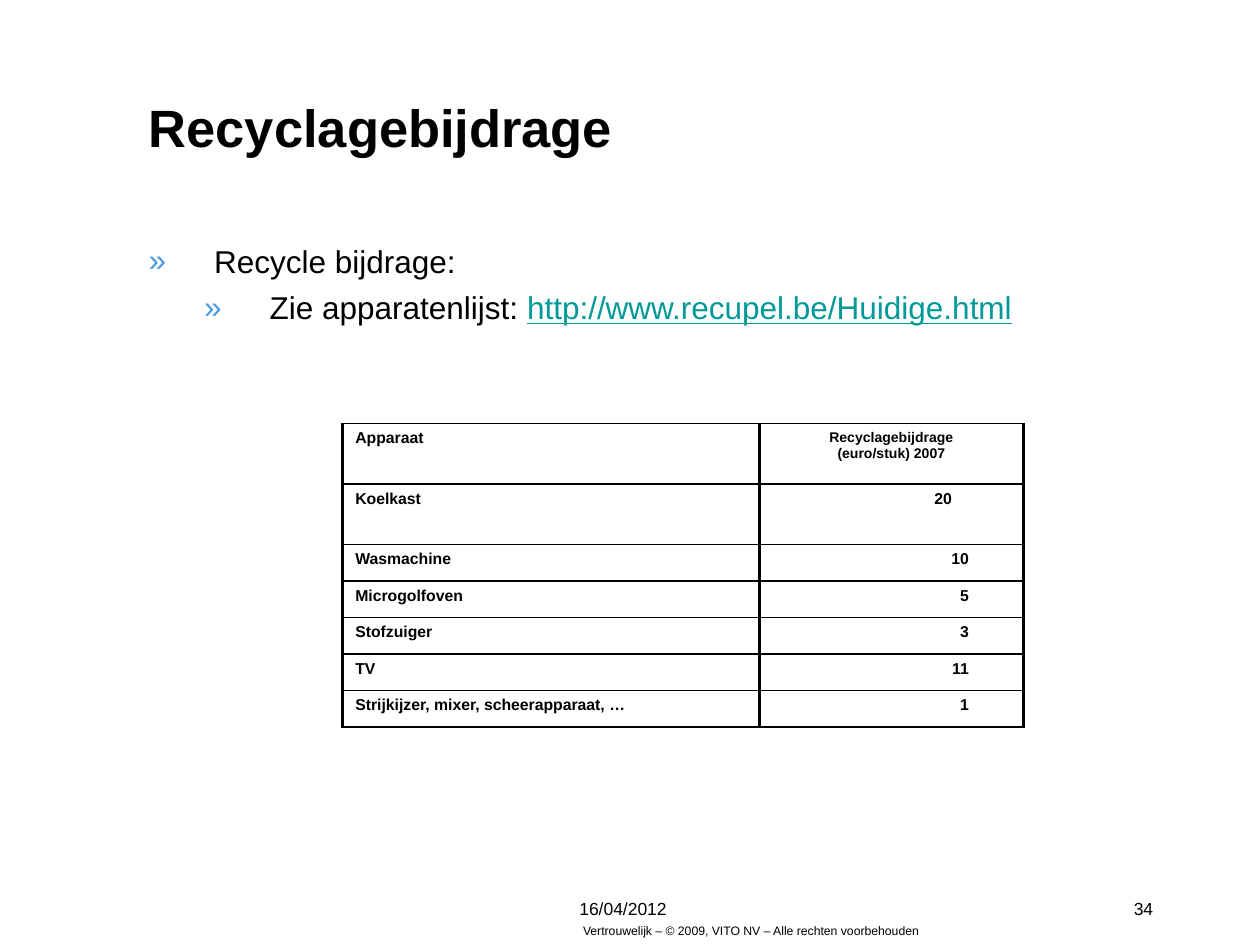
"""Builds the slide on recycling contributions per appliance."""
from lxml import etree
from pptx import Presentation
from pptx.dml.color import RGBColor
from pptx.enum.text import MSO_ANCHOR, MSO_AUTO_SIZE, PP_ALIGN
from pptx.oxml.ns import qn
from pptx.util import Inches, Pt

LEFT, CENTER, RIGHT = PP_ALIGN.LEFT, PP_ALIGN.CENTER, PP_ALIGN.RIGHT
TOP, MIDDLE = MSO_ANCHOR.TOP, MSO_ANCHOR.MIDDLE
NO_AUTOFIT = MSO_AUTO_SIZE.NONE
BLACK, BULLET_BLUE, LINK_TEAL = "000000", "4799E1", "009999"

TITLE = "Recyclagebijdrage"
BULLETS = [
    (0, [("Recycle bijdrage:", BLACK)]),
    (1, [("Zie apparatenlijst: ", BLACK),
         ("http://www.recupel.be/Huidige.html", LINK_TEAL)]),
]
HEADER = ("Apparaat", "Recyclagebijdrage\n(euro/stuk) 2007")
CONTRIBUTIONS = [
    ("Koelkast", "\t20\t"),
    ("Wasmachine", "\t10"),
    ("Microgolfoven", "\t5"),
    ("Stofzuiger", "\t3"),
    ("TV", "\t11"),
    ("Strijkijzer, mixer, scheerapparaat, …", "\t1"),
]
FOOTERS = [
    ("Vertrouwelijk – © 2009, VITO NV – Alle rechten voorbehouden",
     (4.5, 7.28, 2.89, 0.22), 7, RIGHT),
    ("16/04/2012", (4.5, 7.08, 1, 0.25), 10, LEFT),
    ("34", (8.33, 7.08, 0.92, 0.25), 10, RIGHT),
]
COLUMN_WIDTHS = (3.31, 2.09)
TALL_ROW, SHORT_ROW, TALL_ROWS = 0.48, 0.29, 2
DECIMAL_TAB = 1.23
BORDERS = {"lnL": 2, "lnR": 2, "lnT": 1, "lnB": 1}


def colour(value):
    return RGBColor.from_string(value)


def format_run(run, size, value=BLACK, bold=False):
    run.font.name, run.font.size, run.font.bold = "Arial", Pt(size), bold
    run.font.color.rgb = colour(value)


def format_text(text_frame, size, alignment=LEFT, bold=False):
    for paragraph in text_frame.paragraphs:
        paragraph.alignment = alignment
        for run in paragraph.runs:
            format_run(run, size, bold=bold)


def place(shape, box):
    shape.left, shape.top, shape.width, shape.height = map(Inches, box)


def add_bullet(paragraph, level):
    properties = paragraph._p.get_or_add_pPr()
    properties.set("marL", str(Inches(0.52 + 0.44 * level)))
    properties.set("indent", str(Inches(-0.52)))
    bullet_colour = etree.SubElement(properties, qn("a:buClr"))
    etree.SubElement(bullet_colour, qn("a:srgbClr"), val=BULLET_BLUE)
    etree.SubElement(properties, qn("a:buFont"), typeface="Arial")
    etree.SubElement(properties, qn("a:buChar"), char="»")


def add_decimal_tab(paragraph):
    tabs = etree.SubElement(paragraph._p.get_or_add_pPr(), qn("a:tabLst"))
    etree.SubElement(tabs, qn("a:tab"), pos=str(Inches(DECIMAL_TAB)), algn="dec")


def add_borders(cell):
    properties = cell._tc.get_or_add_tcPr()
    for position, (side, width) in enumerate(BORDERS.items()):
        line = etree.Element(qn(f"a:{side}"), w=str(Pt(width)))
        fill = etree.SubElement(line, qn("a:solidFill"))
        etree.SubElement(fill, qn("a:srgbClr"), val=BLACK)
        properties.insert(position, line)


def fill_title(title):
    place(title, (1.08, 0.67, 8.17, 0.67))
    title.text_frame.text = TITLE
    title.text_frame.vertical_anchor = MIDDLE
    title.text_frame.auto_size = NO_AUTOFIT
    format_text(title.text_frame, 30, bold=True)


def fill_body(body):
    place(body, (1.08, 1.5, 8.17, 5))
    text_frame = body.text_frame
    text_frame.auto_size = NO_AUTOFIT
    text_frame.vertical_anchor = TOP
    text_frame.margin_top = Inches(0.42)
    for index, (level, parts) in enumerate(BULLETS):
        paragraph = text_frame.add_paragraph() if index else text_frame.paragraphs[0]
        paragraph.level = level
        paragraph.space_before = Pt(5 if index else 0)
        add_bullet(paragraph, level)
        for text, value in parts:
            run = paragraph.add_run()
            run.text = text
            format_run(run, 18, value)
            run.font.underline = value == LINK_TEAL


def add_contributions(slide):
    rows = [HEADER] + CONTRIBUTIONS
    heights = [TALL_ROW if index < TALL_ROWS else SHORT_ROW for index in range(len(rows))]
    box = (2.72, 3.36, sum(COLUMN_WIDTHS), sum(heights))
    table = slide.shapes.add_table(len(rows), len(HEADER), *map(Inches, box)).table
    table.first_row = table.horz_banding = False
    for column, width in zip(table.columns, COLUMN_WIDTHS):
        column.width = Inches(width)
    for row, height, texts in zip(table.rows, heights, rows):
        row.height = Inches(height)
        for cell, text, alignment in zip(row.cells, texts, (LEFT, CENTER)):
            cell.text_frame.text = text
            cell.fill.background()
            add_borders(cell)
            if "\t" in text:
                add_decimal_tab(cell.text_frame.paragraphs[0])
            format_text(cell.text_frame, 8 if text == HEADER[1] else 9, alignment, True)


def add_footer(slide, text, box, size, alignment):
    text_frame = slide.shapes.add_textbox(*map(Inches, box)).text_frame
    text_frame.word_wrap = True
    text_frame.text = text
    format_text(text_frame, size, alignment)


def main():
    presentation = Presentation()
    presentation.slide_width, presentation.slide_height = Inches(10), Inches(7.5)
    slide = presentation.slides.add_slide(presentation.slide_layouts[1])
    fill_title(slide.shapes.title)
    fill_body(slide.placeholders[1])
    add_contributions(slide)
    for footer in FOOTERS:
        add_footer(slide, *footer)
    presentation.save("out.pptx")


if __name__ == "__main__":
    main()
